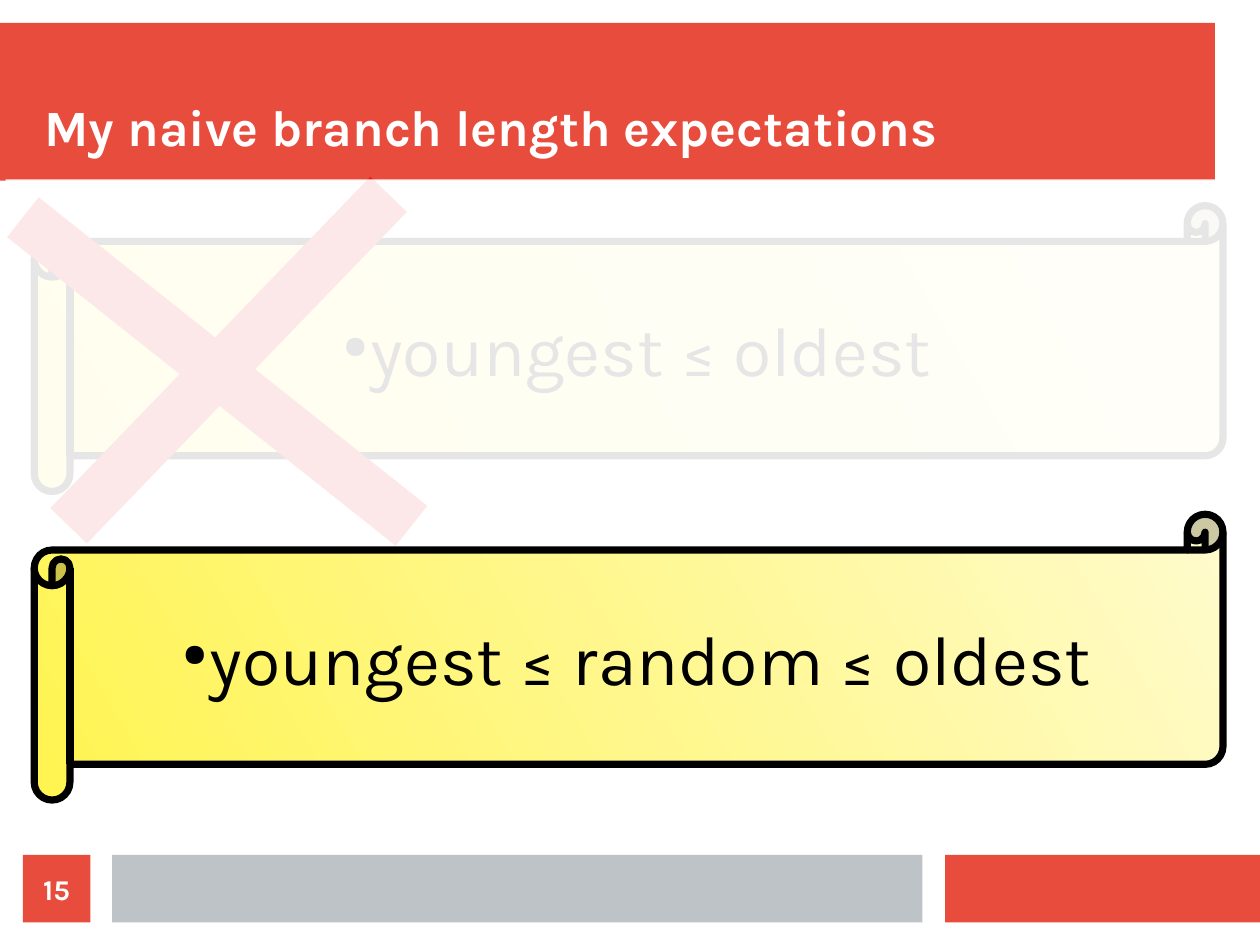
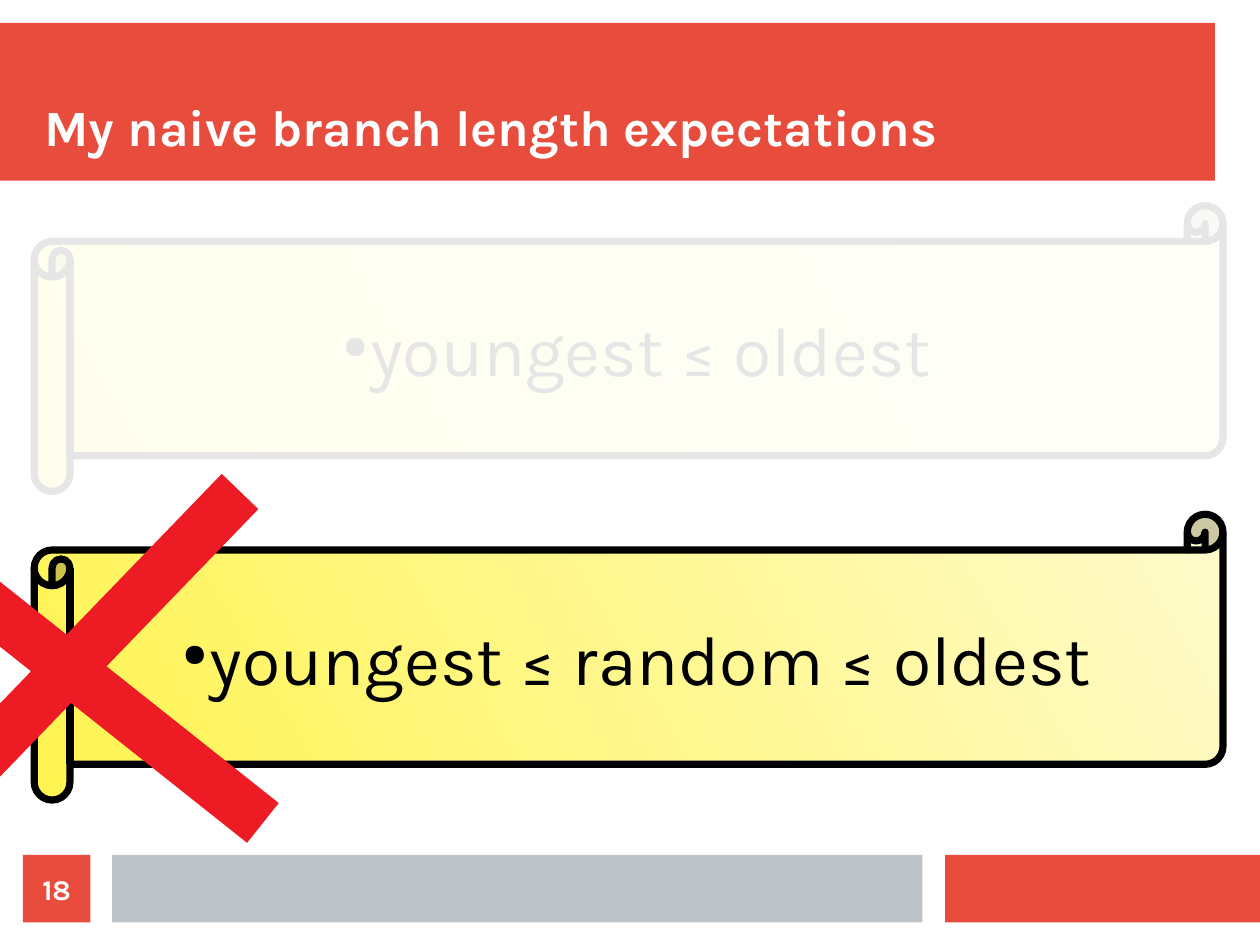
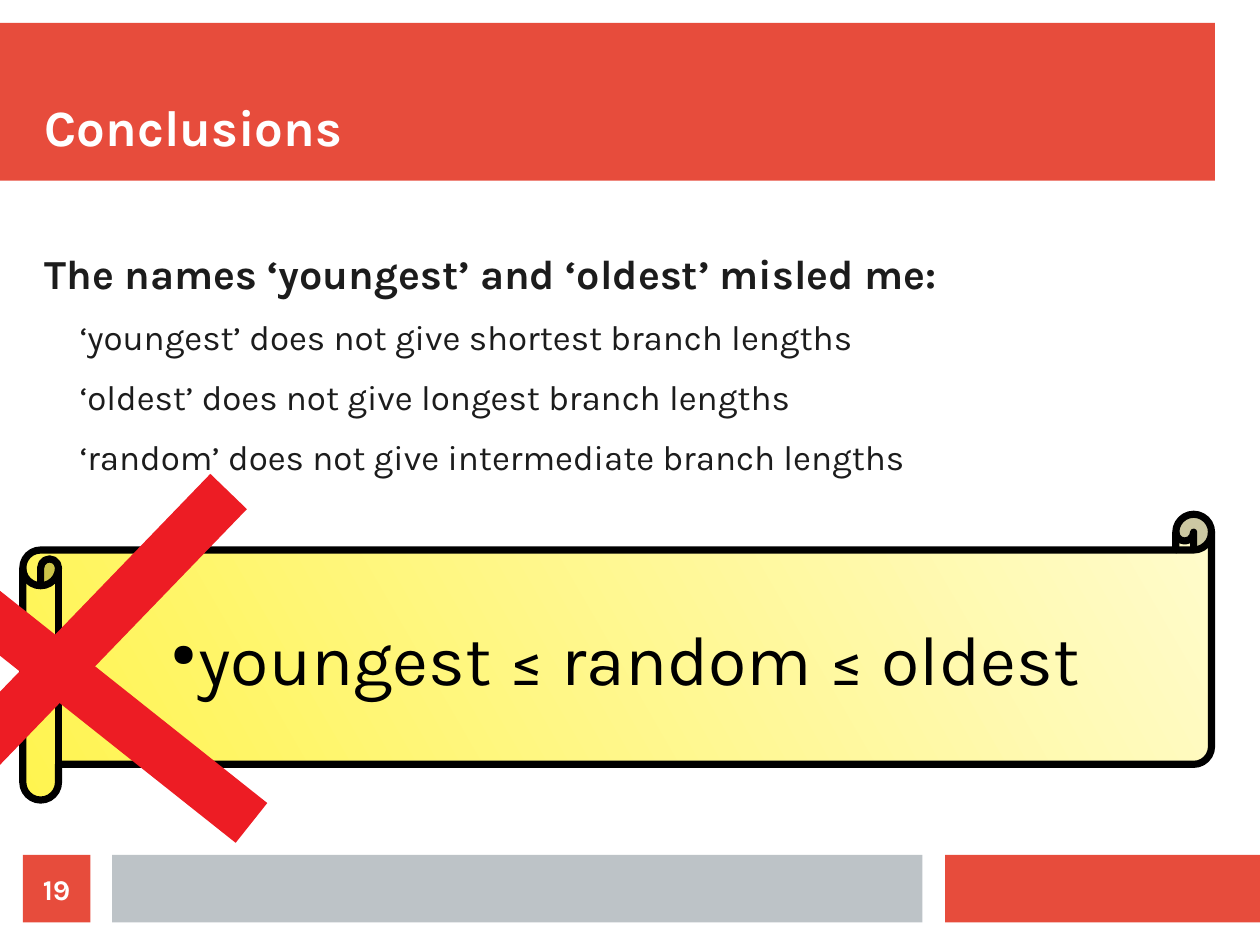
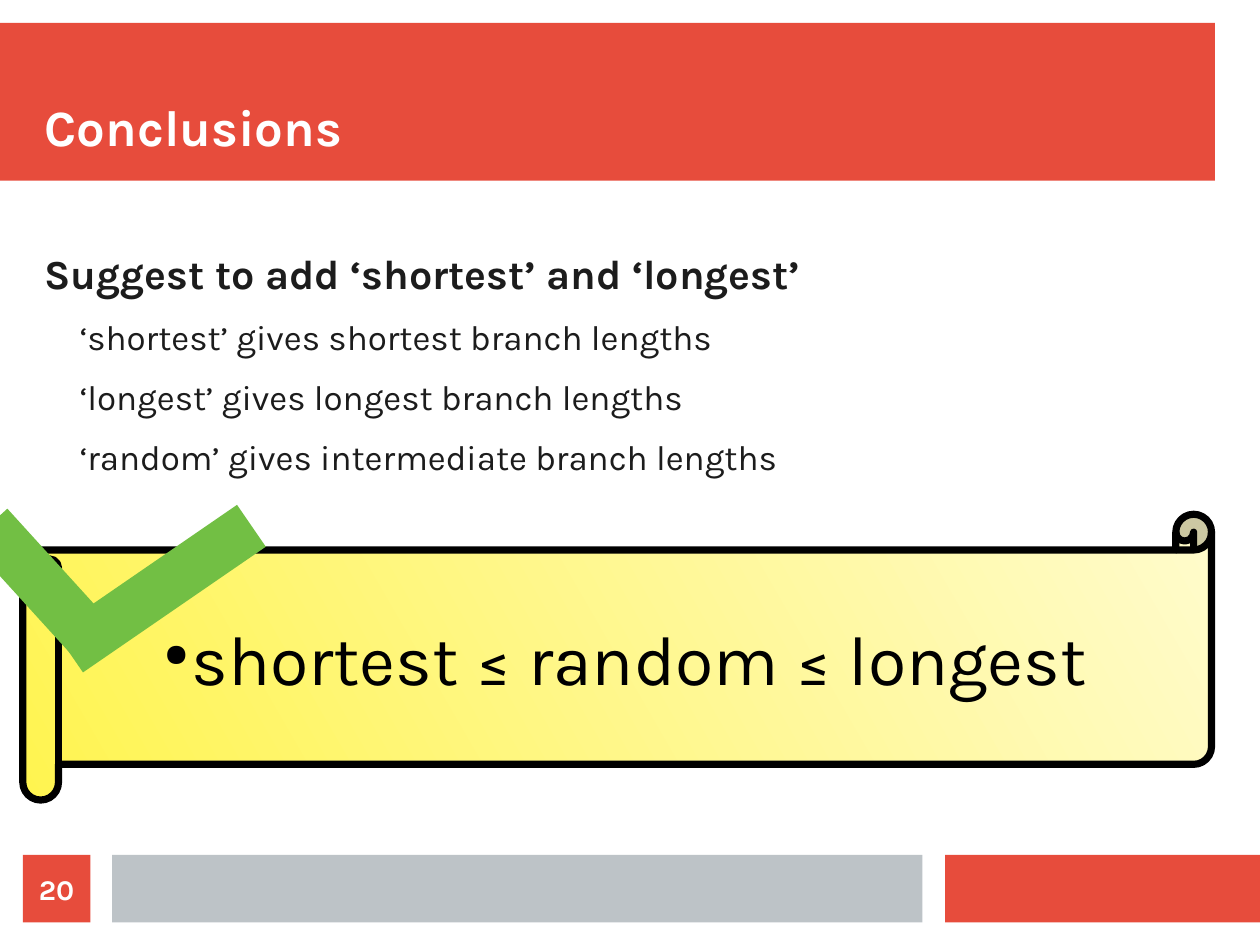
import dataclasses

import lxml.etree
import pptx
import pptx.dml.color
import pptx.enum.shapes
import pptx.enum.text
import pptx.oxml.ns
import pptx.util

Inches = pptx.util.Inches
SHAPES = pptx.enum.shapes.MSO_SHAPE
ANCHOR = pptx.enum.text.MSO_ANCHOR
ALIGN = pptx.enum.text.PP_ALIGN


@dataclasses.dataclass(frozen=True)
class Theme:
    """Colours, fonts and point sizes shared by all slides."""

    font: str = "Karla"
    bullet_font: str = "OpenSymbol"
    red: str = "E74C3C"
    grey: str = "BDC3C7"
    white: str = "FFFFFF"
    black: str = "000000"
    ink: str = "1C1C1C"
    paper_pale: str = "FFFBCC"
    paper_deep: str = "FFF450"
    wrong: str = "ED1C24"
    right: str = "72BF44"
    title_size: float = 32
    heading_size: float = 26
    point_size: float = 22
    formula_size: float = 44
    number_size: float = 18
    outline_width: float = 4.5
    mark_width: float = 32


THEME = Theme()
CM_PER_INCH = 2.54
PAGE_SIZE = (Inches(28 / CM_PER_INCH), Inches(21 / CM_PER_INCH))
SCROLL_SIZE = (10.4, 2.5)
UPPER_SCROLL_TOP, LOWER_SCROLL_TOP = 1.8, 4.5
CROSS = (((0.4, 2.9), (3.2, 0)), ((0, 0.2), (3.4, 2.9)))
CHECK = (((0.7, 1.1), (2.3, 0)), ((0, 0), (1, 1.1)))


def rgb(code):
    """Turn a hexadecimal code into a colour."""
    return pptx.dml.color.RGBColor.from_string(code)


def add_child(parent, tag, **attributes):
    """Append a DrawingML child element."""
    return lxml.etree.SubElement(parent, pptx.oxml.ns.qn(tag), attributes)


def set_frame(frame, anchor=ANCHOR.TOP, margins=(0, 0), wrap=True):
    """Set the anchor, the side and end margins and the wrapping of a frame."""
    frame.vertical_anchor = anchor
    frame.margin_left = frame.margin_right = Inches(margins[0])
    frame.margin_top = frame.margin_bottom = Inches(margins[1])
    frame.word_wrap = wrap


def write(para, text, size, colour, bold=False, align=ALIGN.LEFT, after=0, left=0, hanging=0):
    """Write one formatted paragraph."""
    para.alignment = align
    para.space_after = pptx.util.Pt(after)
    properties = para._p.get_or_add_pPr()
    properties.set("marL", str(Inches(left)))
    properties.set("indent", str(-Inches(hanging)))
    span = para.add_run()
    span.text = text
    span.font.name = THEME.font
    span.font.size = pptx.util.Pt(size)
    span.font.bold = bold
    span.font.color.rgb = rgb(colour)


def add_bullet(para, colour):
    """Give a paragraph a small round bullet."""
    properties = para._p.get_or_add_pPr()
    add_child(add_child(properties, "a:buClr"), "a:srgbClr", val=colour)
    add_child(properties, "a:buSzPct", val="45000")
    add_child(properties, "a:buFont", typeface=THEME.bullet_font)
    add_child(properties, "a:buChar", char="●")


def add_panel(page, left, top, width, height, colour):
    """Add a plain filled rectangle."""
    box = page.shapes.add_shape(
        SHAPES.RECTANGLE, Inches(left), Inches(top), Inches(width), Inches(height))
    box.shadow.inherit = False
    box.fill.solid()
    box.fill.fore_color.rgb = rgb(colour)
    box.line.fill.background()
    return box


def add_veil(page, left, top, width, height):
    """Fade what lies below with a nearly opaque white panel."""
    veil = add_panel(page, left, top, width, height, THEME.white)
    colour = veil._element.spPr.find(".//" + pptx.oxml.ns.qn("a:srgbClr"))
    add_child(colour, "a:alpha", val="90000")


def add_scroll(page, left, top, text):
    """Add a yellow parchment scroll holding one bulleted formula."""
    scroll = page.shapes.add_shape(
        SHAPES.HORIZONTAL_SCROLL, Inches(left), Inches(top), *map(Inches, SCROLL_SIZE))
    scroll.shadow.inherit = False
    scroll.fill.gradient()
    scroll.fill.gradient_angle = 210
    for stop, colour in zip(scroll.fill.gradient_stops, (THEME.paper_pale, THEME.paper_deep)):
        stop.color.rgb = rgb(colour)
    scroll.line.color.rgb = rgb(THEME.black)
    scroll.line.width = pptx.util.Pt(THEME.outline_width)
    set_frame(scroll.text_frame, ANCHOR.MIDDLE, (0.13, 0.08), wrap=False)
    para = scroll.text_frame.paragraphs[0]
    write(para, text, THEME.formula_size, THEME.black,
          align=ALIGN.CENTER, left=0.24, hanging=0.24)
    add_bullet(para, THEME.black)


def add_mark(page, left, top, strokes, colour):
    """Draw the thick strokes of a cross or check mark from its corner."""
    for (start_x, start_y), (end_x, end_y) in strokes:
        stroke = page.shapes.add_connector(
            pptx.enum.shapes.MSO_CONNECTOR.STRAIGHT,
            Inches(left + start_x), Inches(top + start_y),
            Inches(left + end_x), Inches(top + end_y))
        stroke.line.color.rgb = rgb(colour)
        stroke.line.width = pptx.util.Pt(THEME.mark_width)
        add_child(stroke._element.spPr, "a:effectLst")


def add_text_box(page, left, top, width, height, anchor=ANCHOR.TOP):
    """Add an empty text box without margins and return its frame."""
    box = page.shapes.add_textbox(Inches(left), Inches(top), Inches(width), Inches(height))
    set_frame(box.text_frame, anchor)
    return box.text_frame


def add_page(deck, title, number):
    """Add a slide with its title band and footer."""
    page = deck.slides.add_slide(deck.slide_layouts[6])
    add_panel(page, 0, 0.2, 10.63, 1.38, THEME.red)
    add_panel(page, 8.27, 7.48, 2.76, 0.59, THEME.red)
    add_panel(page, 0.98, 7.48, 7.09, 0.59, THEME.grey)
    heading = add_text_box(page, 0.39, 0.39, 10.24, 0.98, ANCHOR.BOTTOM)
    write(heading.paragraphs[0], title, THEME.title_size, THEME.white, bold=True)
    badge = add_panel(page, 0.2, 7.48, 0.59, 0.59, THEME.red)
    set_frame(badge.text_frame, ANCHOR.MIDDLE)
    write(badge.text_frame.paragraphs[0], str(number), THEME.number_size, THEME.white,
          bold=True, align=ALIGN.CENTER)
    return page


def add_expectations(deck, number, veil, upper_cross=None, lower_cross=None):
    """Build a slide with a faded and a current expectation, one crossed out."""
    page = add_page(deck, "My naive branch length expectations", number)
    add_scroll(page, 0.3, UPPER_SCROLL_TOP, "youngest ≤ oldest")
    if upper_cross:
        add_mark(page, *upper_cross, CROSS, THEME.wrong)
    add_veil(page, *veil)
    add_scroll(page, 0.3, LOWER_SCROLL_TOP, "youngest ≤ random ≤ oldest")
    if lower_cross:
        add_mark(page, *lower_cross, CROSS, THEME.wrong)


def add_conclusions(deck, number, heading, points, formula, mark):
    """Build a slide with a heading, its points and a marked formula."""
    page = add_page(deck, "Conclusions", number)
    body = add_text_box(page, 0.39, 2.17, 10.04, 5.12)
    write(body.paragraphs[0], heading, THEME.heading_size, THEME.ink, bold=True, after=11.4)
    for point in points:
        write(body.add_paragraph(), point, THEME.point_size, THEME.ink, after=11.3, left=0.31)
    add_scroll(page, 0.2, LOWER_SCROLL_TOP, formula)
    add_mark(page, *mark)


def main():
    """Build and save the deck."""
    deck = pptx.Presentation()
    deck.slide_width, deck.slide_height = PAGE_SIZE
    add_expectations(deck, 15, (0.05, 1.57, 10.8, 3.23), upper_cross=(0.2, 1.7))
    add_expectations(deck, 18, (0.1, 1.71, 10.8, 2.69), lower_cross=(-1.1, 4.3))
    add_conclusions(
        deck, 19, "The names ‘youngest’ and ‘oldest’ misled me:",
        ("‘youngest’ does not give shortest branch lengths",
         "‘oldest’ does not give longest branch lengths",
         "‘random’ does not give intermediate branch lengths"),
        "youngest ≤ random ≤ oldest", (-1.2, 4.3, CROSS, THEME.wrong))
    add_conclusions(
        deck, 20, "Suggest to add ‘shortest’ and ‘longest’",
        ("‘shortest’ gives shortest branch lengths",
         "‘longest’ gives longest branch lengths",
         "‘random’ gives intermediate branch lengths"),
        "shortest ≤ random ≤ longest", (-0.1, 4.6, CHECK, THEME.right))
    deck.save("out.pptx")


if __name__ == "__main__":
    main()
